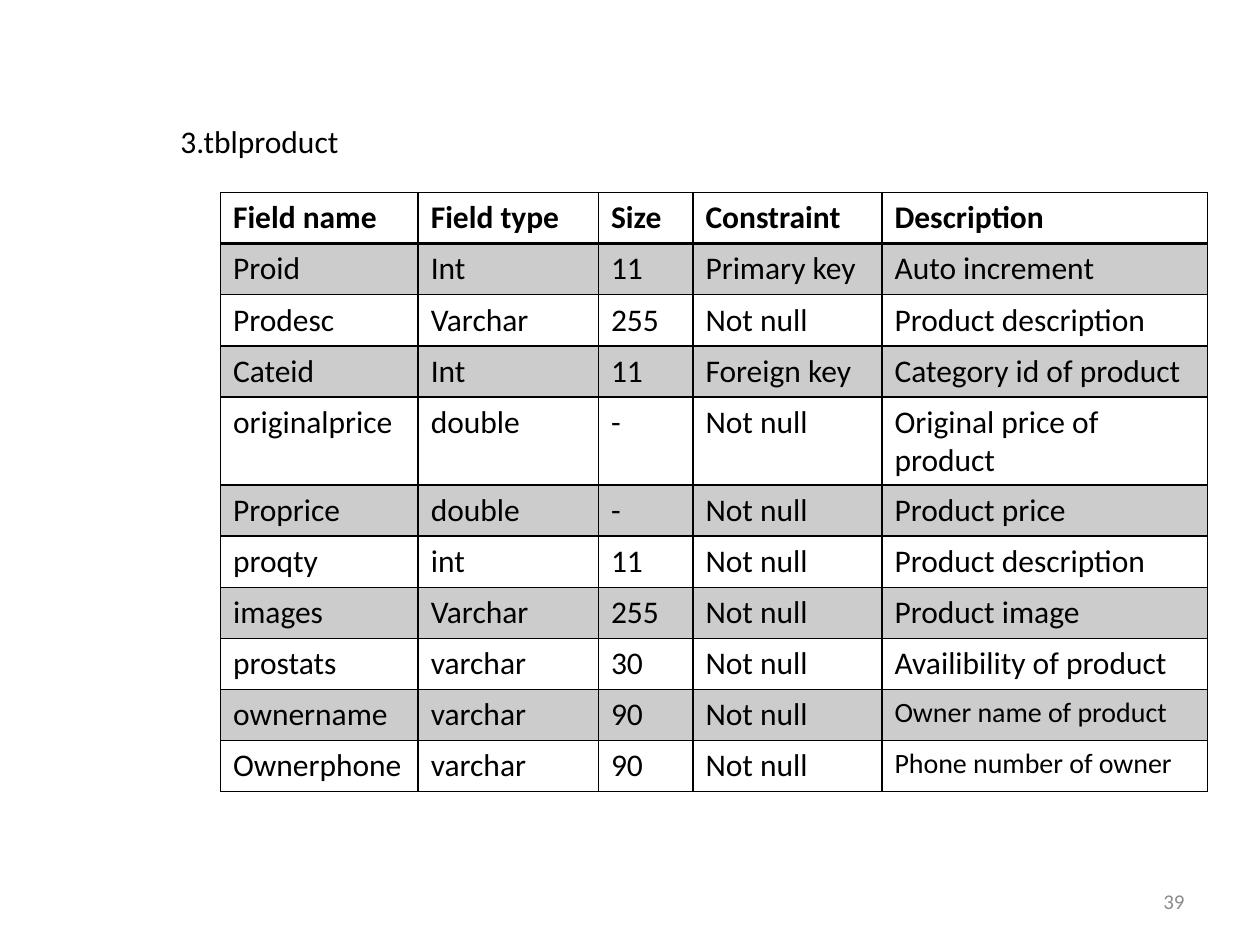
import pptx
import pptx.dml.color
import pptx.enum.text
import pptx.oxml.ns
import pptx.util
from lxml import etree

Pt = pptx.util.Pt
COLORS = {"ink": "000000", "page_number": "8C8C8C"}
FONT = "Calibri"
COLUMN_WIDTHS = [113, 103, 54, 108, 186]
ROW_HEIGHT = 29.2
ROWS = [
    ["Field name", "Field type", "Size", "Constraint", "Description"],
    ["Proid", "Int", "11", "Primary key", "Auto increment"],
    ["Prodesc", "Varchar", "255", "Not null", "Product description"],
    ["Cateid", "Int", "11", "Foreign key", "Category id of product"],
    ["originalprice", "double", "-", "Not null", "Original price of product"],
    ["Proprice", "double", "-", "Not null", "Product price"],
    ["proqty", "int", "11", "Not null", "Product description"],
    ["images", "Varchar", "255", "Not null", "Product image"],
    ["prostats", "varchar", "30", "Not null", "Availibility of product"],
    ["ownername", "varchar", "90", "Not null", "Owner name of product"],
    ["Ownerphone", "varchar", "90", "Not null", "Phone number of owner"],
]
SMALL_TEXTS = {"Owner name of product", "Phone number of owner"}


def write_text(text_frame, text, size, color="ink", bold=False):
    text_frame.text = text
    font = text_frame.paragraphs[0].runs[0].font
    font.name = FONT
    font.size = Pt(size)
    font.bold = bold
    font.color.rgb = pptx.dml.color.RGBColor.from_string(COLORS[color])


def add_border(cell, side, width):
    """Draw one edge of a cell; side is L, R, T or B."""
    qn = pptx.oxml.ns.qn
    properties = cell._tc.get_or_add_tcPr()
    line = etree.SubElement(properties, qn(f"a:ln{side}"), w=str(Pt(width)))
    fill = etree.SubElement(line, qn("a:solidFill"))
    etree.SubElement(fill, qn("a:srgbClr"), val=COLORS["ink"])


presentation = pptx.Presentation()
presentation.slide_width = Pt(720)
presentation.slide_height = Pt(540)
slide = presentation.slides.add_slide(presentation.slide_layouts[6])

page_number = slide.shapes.add_textbox(Pt(516), Pt(500.5), Pt(168), Pt(28.8))
page_number.text_frame.word_wrap = True
page_number.text_frame.vertical_anchor = pptx.enum.text.MSO_ANCHOR.MIDDLE
write_text(page_number.text_frame, "39", 12, "page_number")
page_number.text_frame.paragraphs[0].alignment = pptx.enum.text.PP_ALIGN.RIGHT

heading = slide.shapes.add_textbox(Pt(96), Pt(66), Pt(110), Pt(29))
heading.text_frame.word_wrap = False
heading.text_frame.auto_size = pptx.enum.text.MSO_AUTO_SIZE.SHAPE_TO_FIT_TEXT
write_text(heading.text_frame, "3.tblproduct", 18)

table = slide.shapes.add_table(
    len(ROWS), len(COLUMN_WIDTHS), Pt(126), Pt(110),
    Pt(sum(COLUMN_WIDTHS)), Pt(ROW_HEIGHT * len(ROWS)),
).table
for column, width in zip(table.columns, COLUMN_WIDTHS):
    column.width = Pt(width)

for row_index, texts in enumerate(ROWS):
    table.rows[row_index].height = Pt(ROW_HEIGHT)
    is_header = row_index == 0
    for column_index, text in enumerate(texts):
        cell = table.cell(row_index, column_index)
        size = 16 if text in SMALL_TEXTS else 18
        write_text(cell.text_frame, text, size, bold=is_header)
        for side in "LRTB":
            at_header_rule = (row_index, side) in [(0, "B"), (1, "T")]
            add_border(cell, side, 2 if at_header_rule else 1)
        if row_index % 2:
            cell.fill.solid()
            cell.fill.fore_color.rgb = pptx.dml.color.RGBColor.from_string(COLORS["ink"])
            color = cell._tc.tcPr.find("a:solidFill/a:srgbClr", pptx.oxml.ns._nsmap)
            etree.SubElement(color, pptx.oxml.ns.qn("a:alpha"), val="20000")
        else:
            cell.fill.background()

presentation.save("out.pptx")
